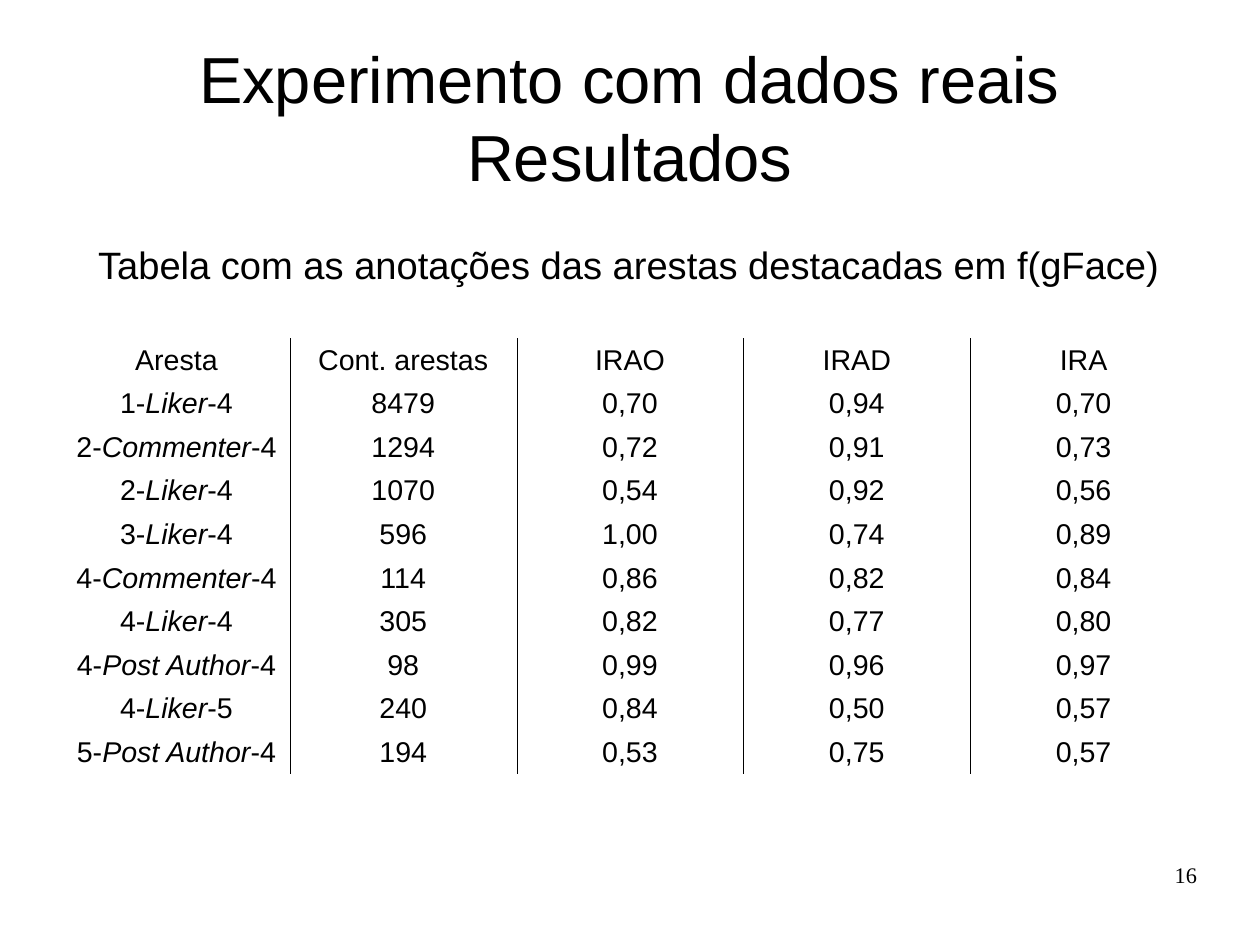
from dataclasses import dataclass

from lxml import etree
from pptx import Presentation
from pptx.dml.color import RGBColor
from pptx.enum.text import MSO_ANCHOR, PP_ALIGN
from pptx.oxml.ns import qn
from pptx.util import Cm, Pt

CENTER, RIGHT = PP_ALIGN.CENTER, PP_ALIGN.RIGHT
TOP, MIDDLE = MSO_ANCHOR.TOP, MSO_ANCHOR.MIDDLE


@dataclass(frozen=True)
class Theme:
    ink: str = "000000"
    paper: str = "FFFFFF"
    font: str = "Arial"
    number_font: str = "Times New Roman"
    title_size: int = 41
    caption_size: int = 24
    table_size: int = 18
    number_size: int = 14
    rule_width: float = 0.06


THEME = Theme()


@dataclass(frozen=True)
class Label:
    text: str
    left: float
    top: float
    width: float
    height: float
    size: int
    font: str = THEME.font
    align: PP_ALIGN = CENTER
    anchor: MSO_ANCHOR = TOP


@dataclass(frozen=True)
class Edge:
    source: int
    role: str
    target: int
    values: tuple[str, ...]


LABELS = [
    Label("Experimento com dados reais\vResultados", 1.4, 0.84, 25.2, 3.5,
          THEME.title_size, anchor=MIDDLE),
    Label("Tabela com as anotações das arestas destacadas em f(gFace)",
          1.52, 5.36, 24.9, 0.95, THEME.caption_size),
    Label("16", 20.07, 19.13, 6.53, 1.45, THEME.number_size,
          THEME.number_font, RIGHT),
]

HEADERS = ("Aresta", "Cont. arestas", "IRAO", "IRAD", "IRA")
EDGES = [
    Edge(1, "Liker", 4, ("8479", "0,70", "0,94", "0,70")),
    Edge(2, "Commenter", 4, ("1294", "0,72", "0,91", "0,73")),
    Edge(2, "Liker", 4, ("1070", "0,54", "0,92", "0,56")),
    Edge(3, "Liker", 4, ("596", "1,00", "0,74", "0,89")),
    Edge(4, "Commenter", 4, ("114", "0,86", "0,82", "0,84")),
    Edge(4, "Liker", 4, ("305", "0,82", "0,77", "0,80")),
    Edge(4, "Post Author", 4, ("98", "0,99", "0,96", "0,97")),
    Edge(4, "Liker", 5, ("240", "0,84", "0,50", "0,57")),
    Edge(5, "Post Author", 4, ("194", "0,53", "0,75", "0,57")),
]


def style_paragraph(p, size: int, font: str, align: PP_ALIGN) -> None:
    p.alignment = align
    p.font.size = Pt(size)
    p.font.name = font
    p.font.color.rgb = RGBColor.from_string(THEME.ink)


def add_label(s, label: Label) -> None:
    box = s.shapes.add_textbox(Cm(label.left), Cm(label.top),
                               Cm(label.width), Cm(label.height))
    tf = box.text_frame
    tf.word_wrap = True
    tf.vertical_anchor = label.anchor
    tf.margin_left = tf.margin_right = tf.margin_top = tf.margin_bottom = 0
    p = tf.paragraphs[0]
    p.text = label.text
    style_paragraph(p, label.size, label.font, label.align)


def set_borders(cell, ruled: set[str]) -> None:
    """Draw the named sides (L, R, T, B) and clear the others."""
    tc_pr = cell._tc.get_or_add_tcPr()
    for side in "LRTB":
        ln = etree.SubElement(tc_pr, qn(f"a:ln{side}"), w=str(Pt(THEME.rule_width)))
        if side in ruled:
            fill = etree.SubElement(ln, qn("a:solidFill"))
            etree.SubElement(fill, qn("a:srgbClr"), val=THEME.ink)
        else:
            etree.SubElement(ln, qn("a:noFill"))


def fill_cell(cell, parts: tuple[str, ...], ruled: set[str]) -> None:
    """Write the parts as runs; every second one is italic."""
    set_borders(cell, ruled)
    cell.fill.solid()
    cell.fill.fore_color.rgb = RGBColor.from_string(THEME.paper)
    p = cell.text_frame.paragraphs[0]
    style_paragraph(p, THEME.table_size, THEME.font, CENTER)
    for i, part in enumerate(parts):
        r = p.add_run()
        r.text = part
        if i % 2:
            r.font.italic = True


def add_edge_table(s) -> None:
    rows = [[(h,) for h in HEADERS]]
    for e in EDGES:
        name = (f"{e.source}-", e.role, f"-{e.target}")
        rows.append([name, *((v,) for v in e.values)])
    table = s.shapes.add_table(len(rows), len(HEADERS), Cm(1.4), Cm(7.52),
                               Cm(25.2), Cm(9.7)).table
    table.first_row = table.horz_banding = False
    last = len(HEADERS) - 1
    for i, row in enumerate(rows):
        for j, parts in enumerate(row):
            # Rules run only between columns
            ruled = ({"L"} if j > 0 else set()) | ({"R"} if j < last else set())
            fill_cell(table.cell(i, j), parts, ruled)


def main() -> None:
    prs = Presentation()
    prs.slide_width, prs.slide_height = Cm(28), Cm(21)
    s = prs.slides.add_slide(prs.slide_layouts[6])

    # Edge annotations
    add_edge_table(s)

    # Title, caption and slide number
    for label in LABELS:
        add_label(s, label)

    prs.save("out.pptx")


if __name__ == "__main__":
    main()
